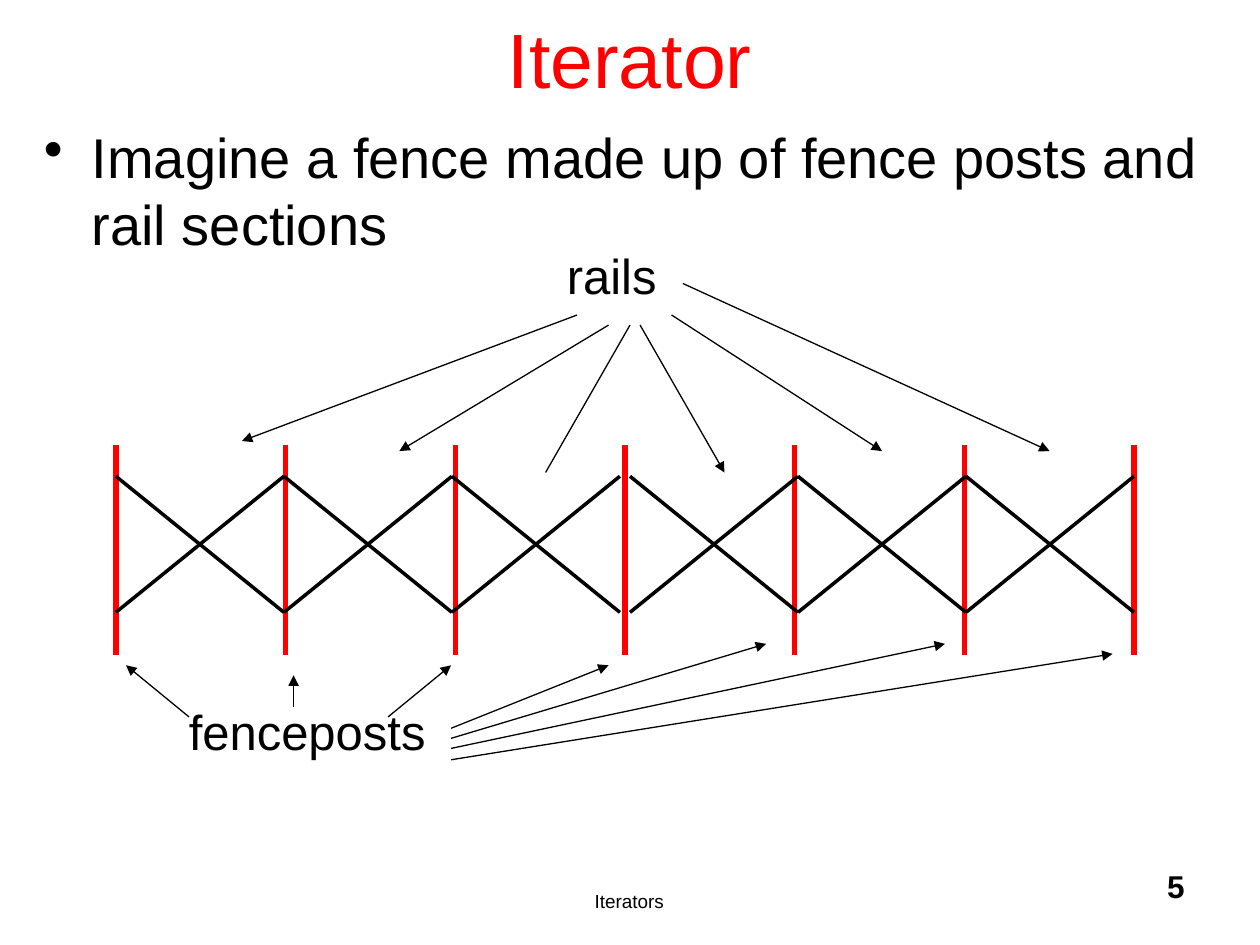
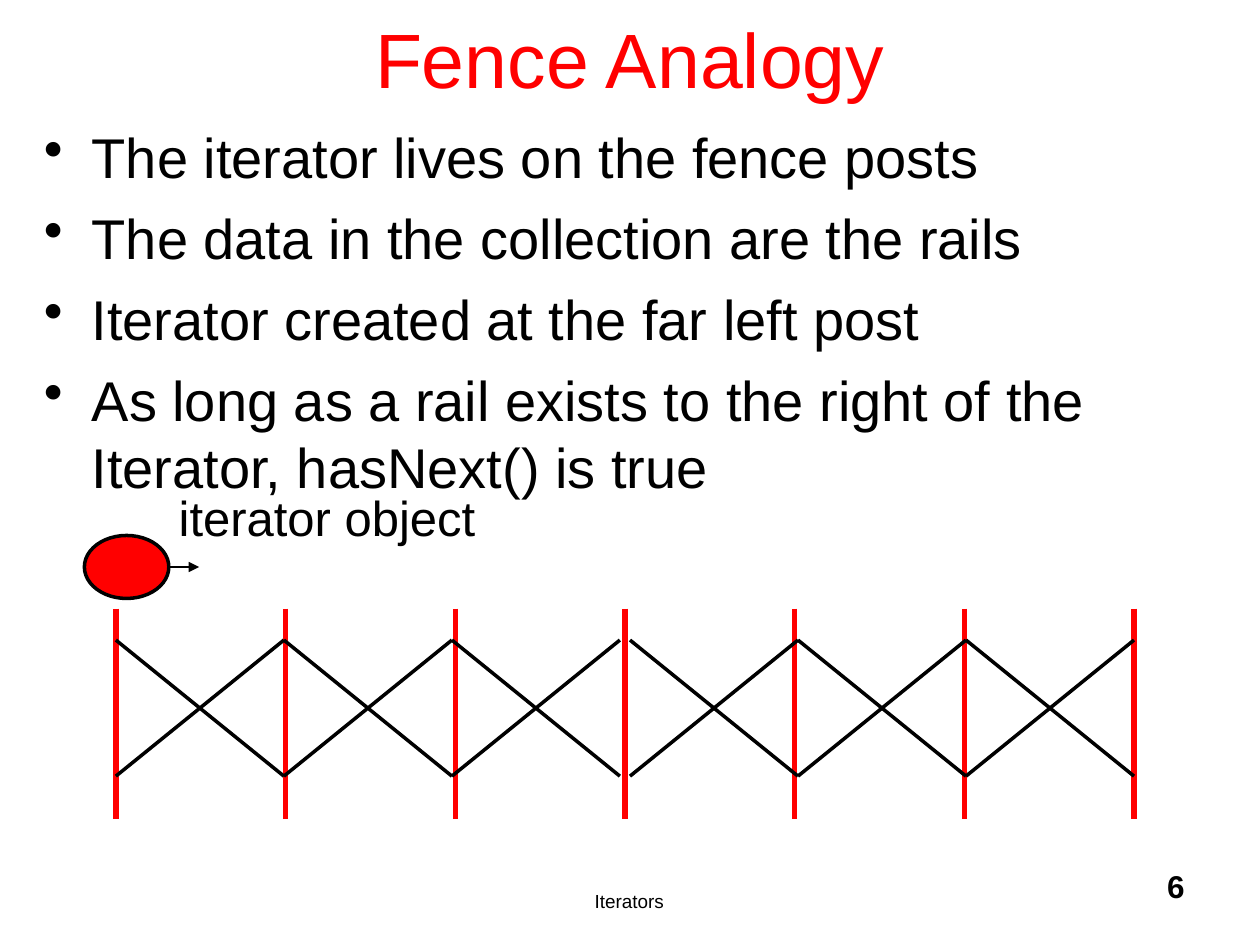
from dataclasses import dataclass

from lxml import etree
from pptx import Presentation
from pptx.dml.color import RGBColor
from pptx.enum import shapes, text
from pptx.oxml import ns
from pptx.util import Inches, Pt


@dataclass(frozen=True)
class Theme:
    font: str = "Arial"
    ink: RGBColor = RGBColor(0, 0, 0)
    accent: RGBColor = RGBColor(255, 0, 0)
    title: float = 44
    body: float = 32
    label: float = 28
    number: float = 18
    footer: float = 10.8
    thin: float = 0.74
    medium: float = 2
    thick: float = 3


class FenceDeck:
    """Holds the theme, the deck and the page being drawn."""

    def __init__(self, theme):
        self.theme = theme
        self.deck = Presentation()
        self.deck.slide_width, self.deck.slide_height = Inches(10), Inches(7.5)
        self.page = None

    def add_page(self, title, number):
        theme = self.theme
        self.page = self.deck.slides.add_slide(self.deck.slide_layouts[6])
        center = text.PP_ALIGN.CENTER
        footer = self.text(3.08, 6.83, 3.83, 0.5, ["Iterators"], theme.footer, align=center)
        footer.text_frame.margin_top = Inches(0.23)
        self.text(7.42, 6.83, 2.08, 0.5, [str(number)], theme.number,
                  align=text.PP_ALIGN.RIGHT, bold=True)
        heading = self.text(0.75, -0.17, 8.5, 1.25, [title], theme.title,
                            color=theme.accent, align=center)
        heading.text_frame.vertical_anchor = text.MSO_ANCHOR.MIDDLE

    def text(self, left, top, width, height, lines, size, color=None,
             align=text.PP_ALIGN.LEFT, bold=False):
        box = self.page.shapes.add_textbox(*map(Inches, (left, top, width, height)))
        frame = box.text_frame
        frame.word_wrap = True
        frame.text = "\n".join(lines)
        for para in frame.paragraphs:
            para.alignment = align
            para.font.name = self.theme.font
            para.font.size = Pt(size)
            para.font.bold = bold
            para.font.color.rgb = color or self.theme.ink
        return box

    def bullets(self, lines):
        box = self.text(0.25, 0.92, 9.5, 6, lines, self.theme.body)
        for para in box.text_frame.paragraphs:
            para.space_before = Pt(8)
            props = para._p.get_or_add_pPr()
            props.set("marL", str(Inches(0.38)))
            props.set("indent", str(-Inches(0.38)))
            bullet = etree.Element(ns.qn("a:buChar"), char="•")
            props.find(ns.qn("a:spcBef")).addnext(bullet)

    def label(self, left, top, width, words):
        box = self.text(left, top, width, 0.57, [words], self.theme.label)
        box.text_frame.word_wrap = False
        box.text_frame.auto_size = text.MSO_AUTO_SIZE.SHAPE_TO_FIT_TEXT

    def line(self, start, end, width, color=None, arrow=False):
        line = self.page.shapes.add_connector(
            shapes.MSO_CONNECTOR.STRAIGHT, *map(Inches, (*start, *end)))
        line.line.width = Pt(width)
        line.line.color.rgb = color or self.theme.ink
        props = line._element.spPr
        if arrow:
            etree.SubElement(props.find(ns.qn("a:ln")), ns.qn("a:tailEnd"), type="triangle")
        etree.SubElement(props, ns.qn("a:effectLst"))

    def arrow(self, start, end, head=True):
        self.line(start, end, self.theme.thin, arrow=head)

    def ellipse(self, left, top, width, height):
        oval = self.page.shapes.add_shape(
            shapes.MSO_SHAPE.OVAL, *map(Inches, (left, top, width, height)))
        oval.shadow.inherit = False
        oval.fill.solid()
        oval.fill.fore_color.rgb = self.theme.accent
        oval.line.color.rgb = self.theme.ink
        oval.line.width = Pt(self.theme.medium)

    def fence(self, top, left=0.92, right=9, sections=6):
        # Posts at equal gaps
        gap = (right - left) / sections
        for index in range(sections + 1):
            x = left + index * gap
            self.line((x, top), (x, top + 1.67), self.theme.thick, self.theme.accent)
        # Crossed rails: one run from each end, parted at the middle post
        span, half = 4 / 3, sections // 2
        high, low = top + 0.25, top + 1.33
        for run_start in (left, right - half * span):
            for index in range(half):
                x = run_start + index * span
                self.line((x, high), (x + span, low), self.theme.medium)
                self.line((x, low), (x + span, high), self.theme.medium)


show = FenceDeck(Theme())

# Page 5: the parts of the fence
show.add_page("Iterator", 5)
show.bullets(["Imagine a fence made up of fence posts and rail sections"])
show.fence(3.53)

show.label(1.4, 5.52, 2.08, "fenceposts")
post_arrows = [
    ((1.5, 5.69), (1, 5.28)),
    ((2.33, 5.61), (2.33, 5.36)),
    ((3.08, 5.69), (3.58, 5.28)),
    ((3.58, 5.78), (4.83, 5.28)),
    ((3.58, 5.86), (6.08, 5.11)),
    ((3.58, 5.94), (7.5, 5.11)),
    ((3.58, 6.03), (8.83, 5.19)),
]
for start, end in post_arrows:
    show.arrow(start, end)

show.label(4.4, 1.9, 0.91, "rails")
rail_arrows = [
    ((4.58, 2.5), (1.92, 3.5), True),
    ((4.83, 2.58), (3.17, 3.58), True),
    ((5, 2.58), (4.33, 3.75), False),
    ((5.08, 2.58), (5.75, 3.75), True),
    ((5.33, 2.5), (7, 3.58), True),
    ((5.42, 2.25), (8.33, 3.58), True),
]
for start, end, head in rail_arrows:
    show.arrow(start, end, head)

# Page 6: the iterator on its first post
show.add_page("Fence Analogy", 6)
show.bullets([
    "The iterator lives on the fence posts",
    "The data in the collection are the rails",
    "Iterator created at the far left post",
    "As long as a rail exists to the right of the Iterator, hasNext() is true",
])
show.fence(4.83)
show.ellipse(0.67, 4.25, 0.67, 0.5)
show.arrow((1.33, 4.5), (1.58, 4.5))
show.label(1.32, 3.82, 2.55, "iterator object")

show.deck.save("out.pptx")
